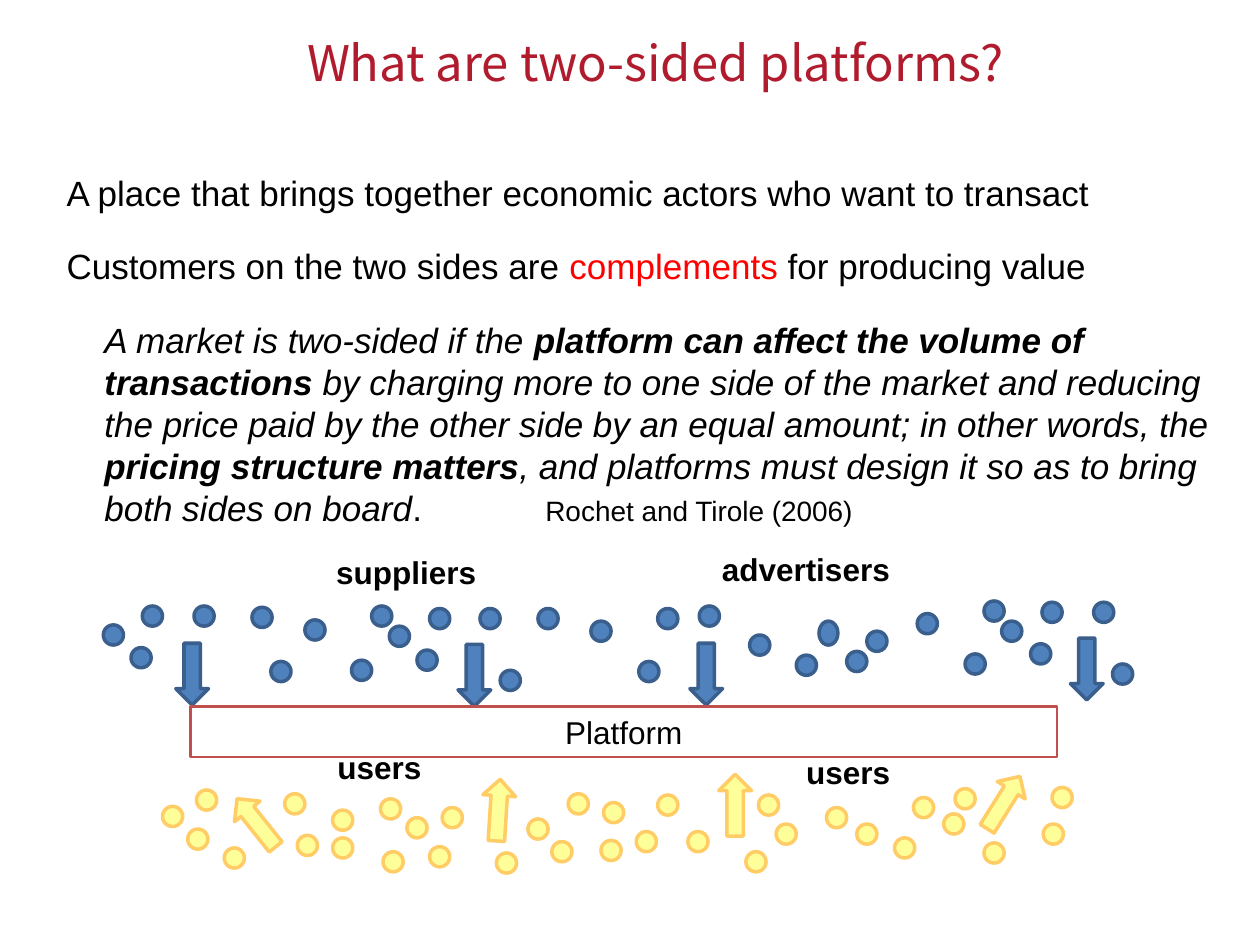
"""Build a slide that explains two-sided platforms with a diagram of both sides."""
from dataclasses import dataclass

from pptx import Presentation
from pptx.dml.color import RGBColor
from pptx.enum.shapes import MSO_SHAPE
from pptx.enum.text import MSO_ANCHOR, MSO_AUTO_SIZE, PP_ALIGN
from pptx.util import Inches, Pt

COLS, ROWS = 100, 75
WIDTH, HEIGHT = Inches(10), Inches(7.5)
DOT = (1.6, 1.6)
ARROW = (4.9, 2.6)


@dataclass(frozen=True)
class Theme:
    font: str = "Arial"
    title_font: str = "Noto Sans CJK KR"
    title: str = "B01C2E"
    text: str = "000000"
    accent: str = "FF0000"
    frame: str = "C0504D"
    supply: tuple = ("4F81BD", "3A5F8C")
    users: tuple = ("FFFF99", "FFCC66")
    title_size: int = 28
    body_size: int = 20
    label_size: int = 18
    source_size: int = 16


THEME = Theme()

SUPPLY_DOTS = [
    (8.2, 49.6), (10.4, 51.4), (11.3, 48.1), (15.4, 48.1), (20, 48.2),
    (21.5, 52.5), (24.2, 49.2), (27.9, 52.4), (29.5, 48.1), (30.9, 49.7),
    (33.1, 51.6), (34.1, 48.3), (38.1, 48.3), (39.7, 53.2), (42.7, 48.3),
    (46.9, 49.3), (50.7, 52.5), (52.2, 48.3), (55.5, 48.1), (59.5, 50.4),
    (63.2, 52), (67.2, 51.7), (68.8, 50.1), (72.8, 48.7), (76.6, 51.9),
    (78.1, 47.7), (79.5, 49.3), (81.8, 51.1), (82.7, 47.8), (86.8, 47.8),
    (88.3, 52.7),
]
TALL_DOT = (65, 49.3, 1.5, 1.9)
USER_DOTS = [
    (12.9, 64), (14.9, 65.8), (15.6, 62.7), (17.8, 67.3), (22.6, 63),
    (23.6, 66.3), (26.4, 64.3), (26.4, 66.5), (30.2, 63.4), (30.4, 67.6),
    (32.3, 64.9), (34.1, 67.2), (35.1, 64.1), (39.4, 67.7), (41.9, 65),
    (43.8, 66.8), (45.1, 63), (47.7, 66.7), (47.9, 63.7), (50.5, 66),
    (52.2, 63.1), (54.6, 66), (59.2, 67.6), (60.2, 63.1), (61.6, 65.4),
    (65.6, 64.1), (68, 65.4), (71, 66.5), (72.5, 63.3), (74.9, 64.6),
    (75.8, 62.6), (78.1, 66.9), (82.8, 65.4), (83.5, 62.5),
]
SUPPLY_ARROWS = [
    (12.8, 52.2, 90), (35.2, 52.3, 90), (53.6, 52.2, 90), (83.8, 51.8, 90),
]
USER_ARROWS = [
    (17.9, 64, 231.3), (37.1, 63, 273.6), (55.9, 62.6, 270), (77.2, 62.4, 302.1),
]
LABELS = [
    ("suppliers", 25.7, 43.4, 13.2), ("advertisers", 56.3, 43.2, 15.5),
    ("users", 25.8, 58.9, 8.8), ("users", 63, 59.3, 8.8),
]
STATEMENTS = [
    [("A place that brings together economic actors who want to transact", {})],
    [("Customers on the two sides are ", {}),
     ("complements", {"color": THEME.accent}),
     (" for producing value", {})],
]
QUOTE = [
    ("A market is two-sided if the ", {"italic": True}),
    ("platform can affect the volume of transactions ", {"italic": True, "bold": True}),
    ("by charging more to one side of the market and reducing the price paid by "
     "the other side by an equal amount; in other words, the ", {"italic": True}),
    ("pricing structure matters", {"italic": True, "bold": True}),
    (", and platforms must design it so as to bring both sides on board",
     {"italic": True}),
    (".\t\t", {}),
    ("Rochet and Tirole (2006)", {"size": THEME.source_size}),
]


def grid(col, row, cols, rows):
    return (round(WIDTH * col / COLS), round(HEIGHT * row / ROWS),
            round(WIDTH * cols / COLS), round(HEIGHT * rows / ROWS))


def style(r, size=THEME.body_size, color=THEME.text, font=THEME.font,
          bold=False, italic=False):
    r.font.size = Pt(size)
    r.font.name = font
    r.font.color.rgb = RGBColor.from_string(color)
    r.font.bold = bold
    r.font.italic = italic


def add_text(s, box, text, wrap=True, **fmt):
    tf = s.shapes.add_textbox(*grid(*box)).text_frame
    tf.word_wrap = wrap
    tf.text = text
    style(tf.paragraphs[0].runs[0], **fmt)
    return tf


def add_runs(p, parts):
    for text, fmt in parts:
        r = p.add_run()
        r.text = text
        style(r, **fmt)


def add_mark(s, kind, box, fill, line, width=2, rotation=0):
    sp = s.shapes.add_shape(kind, *grid(*box))
    sp.shadow.inherit = False
    sp.rotation = rotation
    if fill:
        sp.fill.solid()
        sp.fill.fore_color.rgb = RGBColor.from_string(fill)
    else:
        sp.fill.background()
    sp.line.color.rgb = RGBColor.from_string(line)
    sp.line.width = Pt(width)
    return sp


def add_side(s, dots, arrows, colors):
    for col, row in dots:
        add_mark(s, MSO_SHAPE.OVAL, (col, row, *DOT), *colors)
    for col, row, rotation in arrows:
        add_mark(s, MSO_SHAPE.RIGHT_ARROW, (col, row, *ARROW), *colors,
                 rotation=rotation)


def add_title(s):
    tf = add_text(s, (4.9, 0, 95.1, 9.8), "What are two-sided platforms? ",
                  size=THEME.title_size, color=THEME.title, font=THEME.title_font)
    tf.vertical_anchor = MSO_ANCHOR.MIDDLE
    tf.paragraphs[0].alignment = PP_ALIGN.CENTER


def add_body(s):
    tf = s.shapes.add_textbox(*grid(4.3, 13.1, 92.9, 29.6)).text_frame
    tf.word_wrap = True
    tf.auto_size = MSO_AUTO_SIZE.SHAPE_TO_FIT_TEXT
    for i, parts in enumerate([*STATEMENTS, QUOTE]):
        p = tf.add_paragraph() if i else tf.paragraphs[0]
        add_runs(p, parts)
        if parts is QUOTE:
            p._p.get_or_add_pPr().set("marL", str(round(WIDTH * 3 / COLS)))
        else:
            p.space_after = Pt(18)


def add_platform(s):
    sp = add_mark(s, MSO_SHAPE.RECTANGLE, (15.1, 56.1, 68.8, 4), None,
                  THEME.frame, width=1.5)
    tf = sp.text_frame
    tf.text = "Platform"
    p = tf.paragraphs[0]
    p.alignment = PP_ALIGN.CENTER
    style(p.runs[0], size=THEME.label_size)


def main():
    prs = Presentation()
    prs.slide_width, prs.slide_height = WIDTH, HEIGHT
    s = prs.slides.add_slide(prs.slide_layouts[6])
    add_title(s)
    add_side(s, SUPPLY_DOTS, SUPPLY_ARROWS, THEME.supply)
    add_mark(s, MSO_SHAPE.OVAL, TALL_DOT, *THEME.supply)
    add_side(s, USER_DOTS, USER_ARROWS, THEME.users)
    add_body(s)
    add_platform(s)
    for text, col, row, cols in LABELS:
        add_text(s, (col, row, cols, 4), text, wrap=False,
                 size=THEME.label_size, bold=True)
    prs.save("out.pptx")


main()
